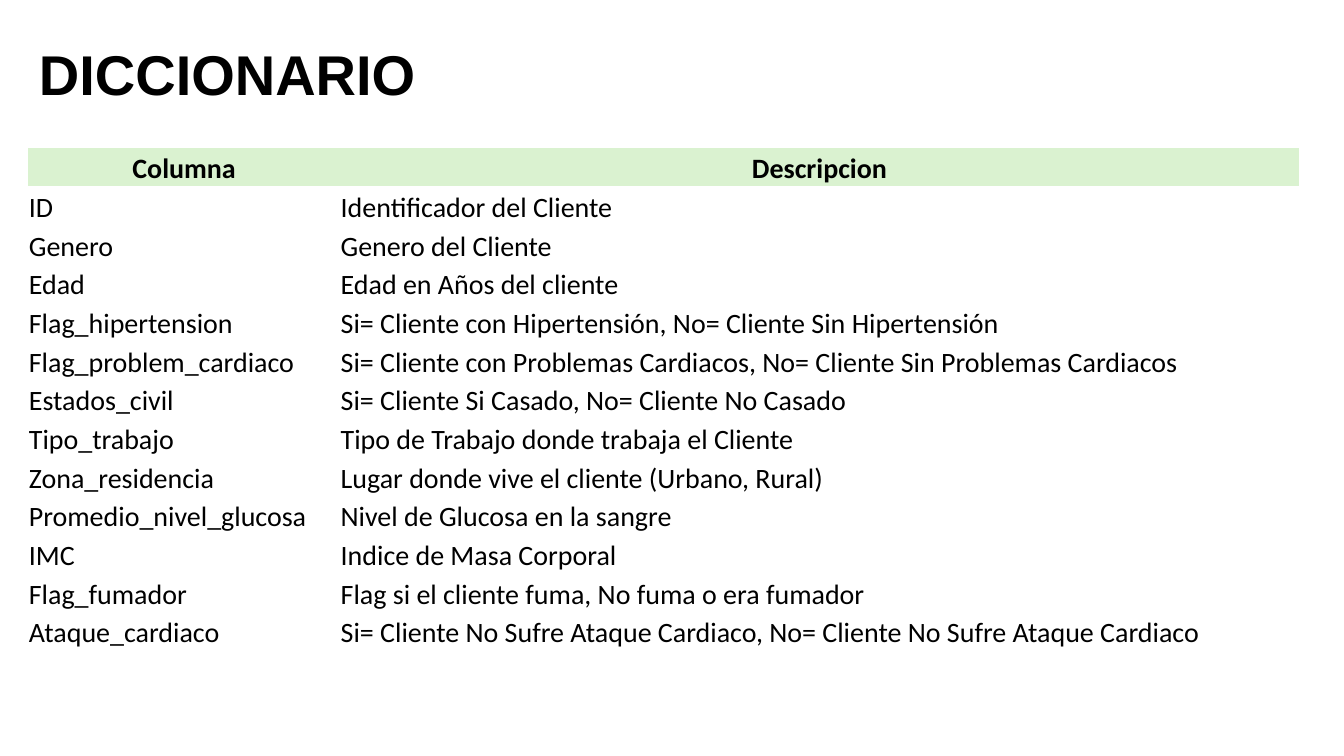
"""Build the data dictionary slide with its table of columns and descriptions."""
import pptx
import pptx.dml.color
import pptx.enum.text
import pptx.oxml.ns
import pptx.util

Inches = pptx.util.Inches
Pt = pptx.util.Pt
COLORS = {"text": "000000", "header": "DAF2D0"}
NO_STYLE_NO_GRID = "{2D5ABB26-0587-4C30-8999-92F81FD0307C}"
ROWS = [
    ("Columna", "Descripcion"),
    ("ID", "Identificador del Cliente"),
    ("Genero", "Genero del Cliente"),
    ("Edad", "Edad en Años del cliente"),
    ("Flag_hipertension", "Si= Cliente con Hipertensión, No= Cliente Sin Hipertensión"),
    ("Flag_problem_cardiaco", "Si= Cliente con Problemas Cardiacos, No= Cliente Sin Problemas Cardiacos"),
    ("Estados_civil", "Si= Cliente Si Casado, No= Cliente No Casado"),
    ("Tipo_trabajo", "Tipo de Trabajo donde trabaja el Cliente"),
    ("Zona_residencia", "Lugar donde vive el cliente (Urbano, Rural)"),
    ("Promedio_nivel_glucosa", "Nivel de Glucosa en la sangre"),
    ("IMC", "Indice de Masa Corporal"),
    ("Flag_fumador", "Flag si el cliente fuma, No fuma o era fumador"),
    ("Ataque_cardiaco", "Si= Cliente No Sufre Ataque Cardiaco, No= Cliente No Sufre Ataque Cardiaco"),
]


def style_paragraph(paragraph, name, size, bold, align):
    paragraph.alignment = align
    paragraph.font.name = name
    paragraph.font.size = Pt(size)
    paragraph.font.bold = bold
    paragraph.font.color.rgb = pptx.dml.color.RGBColor.from_string(COLORS["text"])


deck = pptx.Presentation()
deck.slide_width = Inches(20)
deck.slide_height = Inches(11.25)
page = deck.slides.add_slide(deck.slide_layouts[5])
align = pptx.enum.text.PP_ALIGN
anchor = pptx.enum.text.MSO_ANCHOR

title = page.shapes.title
title.left, title.top = Inches(0.58), Inches(0.54)
title.width, title.height = Inches(15.65), Inches(1.03)
frame = title.text_frame
frame.text = "DICCIONARIO"
frame.margin_left = frame.margin_right = frame.margin_bottom = 0
frame.margin_top = Inches(0.04)
frame.vertical_anchor = anchor.TOP
frame.auto_size = pptx.enum.text.MSO_AUTO_SIZE.SHAPE_TO_FIT_TEXT
style_paragraph(frame.paragraphs[0], "Arial", 60, True, align.LEFT)

table = page.shapes.add_table(
    len(ROWS), 2, Inches(0.42), Inches(2.2), Inches(18.91), Inches(7.48)
).table
table.first_row = table.horz_banding = False
table._tbl.tblPr.find(pptx.oxml.ns.qn("a:tableStyleId")).text = NO_STYLE_NO_GRID
table.columns[0].width = Inches(4.64)
table.columns[1].width = Inches(14.27)

for row, texts in enumerate(ROWS):
    header = row == 0
    for column, text in enumerate(texts):
        cell = table.cell(row, column)
        cell.text = text
        cell.vertical_anchor = anchor.BOTTOM
        cell.margin_left = cell.margin_right = cell.margin_top = Inches(0.01)
        cell.margin_bottom = 0
        if header:
            cell.fill.solid()
            cell.fill.fore_color.rgb = pptx.dml.color.RGBColor.from_string(COLORS["header"])
        else:
            cell.fill.background()
        style_paragraph(
            cell.text_frame.paragraphs[0], "Calibri", 30, header,
            align.CENTER if header else align.LEFT,
        )

deck.save("out.pptx")
